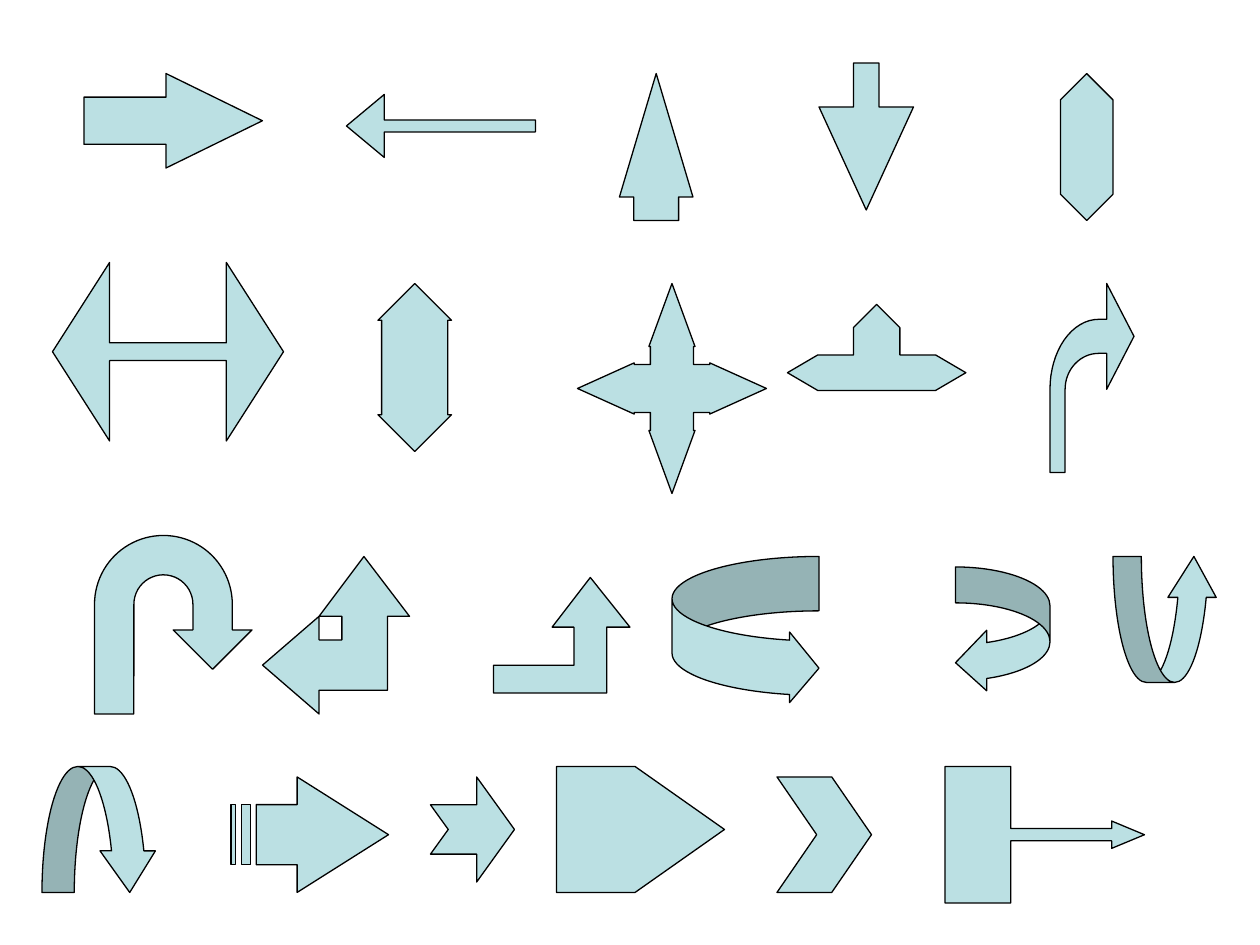
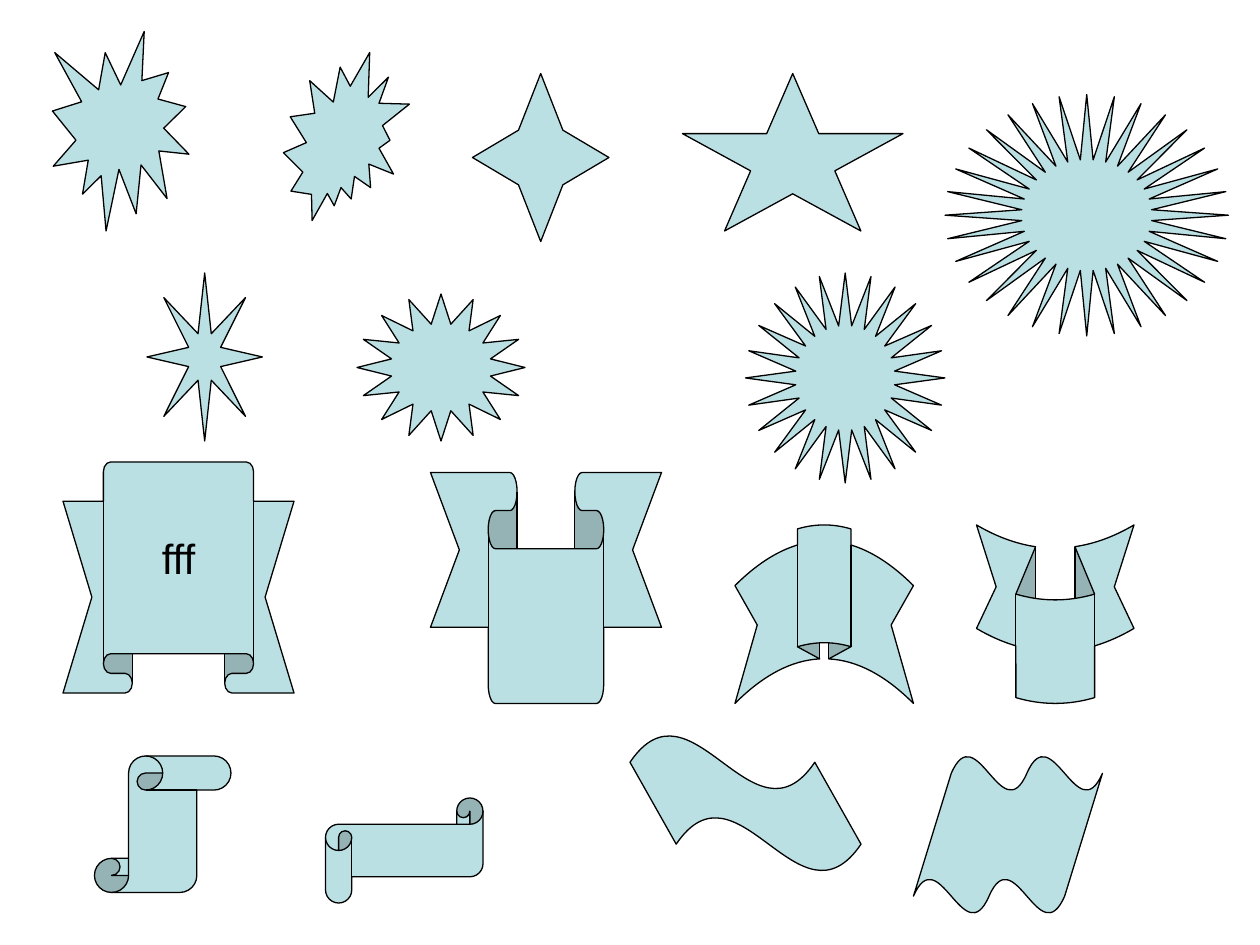
import math

import pptx
import pptx.dml.color
import pptx.enum.shapes
import pptx.enum.text
import pptx.util

KIND = pptx.enum.shapes.MSO_SHAPE
CELL = pptx.util.Cm(2.54) / 12
FILL = "BBE0E3"
INK = "000000"


def color(value):
    return pptx.dml.color.RGBColor.from_string(value)


def cells(count):
    return round(count * CELL)


def style(shape):
    shape.shadow.inherit = False
    shape.fill.solid()
    shape.fill.fore_color.rgb = color(FILL)
    shape.line.color.rgb = color(INK)
    shape.line.width = pptx.util.Pt(0.75)


def mirror_across(points):
    return points + [(100 - x, y) for x, y in reversed(points)]


def mirror_down(points):
    return points + [(x, 100 - y) for x, y in reversed(points)]


def bend(radius_x, radius_y, steps=16):
    angles = [math.pi / 2 * step / steps for step in range(steps + 1)]
    return [(58 - radius_x * math.cos(angle), 56 - radius_y * math.sin(angle))
            for angle in angles]


def rectangle(left, top, right, bottom):
    return [(left, top), (right, top), (right, bottom), (left, bottom)]


FOUR_WAY_ARROW = [mirror_down(mirror_across(
    [(0, 50), (30, 37.8), (30, 38.6), (38.6, 38.6), (38.6, 30), (37.8, 30), (50, 0)]))]
THREE_WAY_ARROW = [mirror_across(
    [(50, 0), (63, 17), (63, 37), (83, 37), (100, 50), (83, 63)])]
BENT_ARROW = [
    [(0, 100), *bend(58, 37), (67.5, 19), (67.5, 0), (100, 28), (67.5, 56),
     (67.5, 37), *reversed(bend(40, 19)), (18, 100)]]
LEFT_UP_ARROW = [
    [(0, 69), (38.5, 38), (38.5, 53), (54, 53), (54, 38), (38.5, 38), (69, 0),
     (100, 38), (85, 38), (85, 85), (38.5, 85), (38.5, 100)]]
BENT_UP_ARROW = [
    [(0, 76), (59, 76), (59, 43), (43, 43), (71, 0), (100, 43), (83, 43),
     (83, 100), (0, 100)]]
STRIPED_ARROW = [
    [(16, 24), (42, 24), (42, 0), (100, 50), (42, 100), (42, 76), (16, 76)],
    rectangle(0, 24, 3, 76),
    rectangle(6.5, 24, 12.5, 76)]


def draw_outline(slide, left, top, width, height, contours):
    placed = [[(round(left + width * x / 100), round(top + height * y / 100))
               for x, y in contour] for contour in contours]
    builder = slide.shapes.build_freeform(*placed[0][0])
    builder.add_line_segments(placed[0][1:], close=True)
    for contour in placed[1:]:
        builder.move_to(*contour[0])
        builder.add_line_segments(contour[1:], close=True)
    return builder.convert_to_shape()


def draw_preset(slide, left, top, width, height, kind, adjustments):
    shape = slide.shapes.add_shape(kind, left, top, width, height)
    for index, value in enumerate(adjustments):
        shape.adjustments[index] = value
    return shape


def draw_row(slide, row_left, row_top, items):
    shapes = []
    for left, top, width, height, form, *adjustments in items:
        box = [cells(length) for length in
               (row_left + left, row_top + top, width, height)]
        if isinstance(form, list):
            shape = draw_outline(slide, *box, form)
        else:
            shape = draw_preset(slide, *box, form, adjustments)
        style(shape)
        shapes.append(shape)
    return shapes


def write_label(shape, text):
    frame = shape.text_frame
    frame.word_wrap = False
    frame.vertical_anchor = pptx.enum.text.MSO_ANCHOR.MIDDLE
    paragraph = frame.paragraphs[0]
    paragraph.text = text
    paragraph.alignment = pptx.enum.text.PP_ALIGN.CENTER
    paragraph.font.name = "Arial"
    paragraph.font.size = pptx.util.Pt(24)
    paragraph.font.color.rgb = color(INK)


def build_arrows(slide):
    draw_row(slide, 8, 6, [
        (0, 1, 17, 9, KIND.RIGHT_ARROW, 0.5, 1.02),
        (25, 3, 18, 6, KIND.LEFT_ARROW, 0.19, 0.6),
        (51, 1, 7, 14, KIND.UP_ARROW, 0.61, 1.68),
        (70, 0, 9, 14, KIND.DOWN_ARROW, 0.27, 1.09),
        (93, 1, 5, 14, KIND.UP_DOWN_ARROW, 0.4, 1.1),
    ])
    draw_row(slide, 5, 25, [
        (0, 0, 22, 17, KIND.LEFT_RIGHT_ARROW, 0.1, 0.32),
        (31, 2, 7, 16, KIND.UP_DOWN_ARROW, 0.39, 0.9),
        (50, 2, 18, 20, FOUR_WAY_ARROW),
        (70, 4, 17, 13, THREE_WAY_ARROW),
        (95, 2, 8, 18, BENT_ARROW),
    ])
    draw_row(slide, 9, 51, [
        (0, 0, 15, 17, KIND.U_TURN_ARROW),
        (16, 2, 14, 15, LEFT_UP_ARROW),
        (38, 4, 13, 11, BENT_UP_ARROW),
        (55, 2, 14, 14, KIND.CURVED_RIGHT_ARROW, 0.37, 0.48, 0.2),
        (82, 3, 9, 12, KIND.CURVED_LEFT_ARROW, 0.38, 0.64, 0.33),
        (97, 2, 10, 12, KIND.CURVED_UP_ARROW, 0.27, 0.46, 0.39),
    ])
    draw_row(slide, 4, 73, [
        (0, 0, 11, 12, KIND.CURVED_DOWN_ARROW, 0.28, 0.48, 0.36),
        (18, 1, 15, 11, STRIPED_ARROW),
        (37, 1, 8, 10, KIND.NOTCHED_RIGHT_ARROW, 0.47, 0.45),
        (49, 0, 16, 12, KIND.PENTAGON, 0.71),
        (70, 1, 9, 11, KIND.CHEVRON, 0.42),
        (86, 0, 19, 13, KIND.RIGHT_ARROW_CALLOUT, 0.09, 0.1, 0.24, 0.33),
    ])


def build_stars_and_banners(slide):
    draw_row(slide, 5, 3, [
        (0, 0, 13, 19, KIND.EXPLOSION1),
        (22, 2, 12, 16, KIND.EXPLOSION2),
        (40, 4, 13, 16, KIND.STAR_4_POINT, 0.23),
        (60, 4, 21, 15, KIND.STAR_5_POINT),
        (85, 6, 27, 23, KIND.STAR_32_POINT, 0.23),
    ])
    draw_row(slide, 14, 26, [
        (0, 0, 11, 16, KIND.STAR_8_POINT, 0.15),
        (20, 2, 16, 14, KIND.STAR_16_POINT, 0.3),
        (57, 0, 19, 20, KIND.STAR_24_POINT, 0.25),
    ])
    ribbons = draw_row(slide, 6, 44, [
        (0, 0, 22, 22, KIND.UP_RIBBON, 0.17, 0.65),
        (35, 1, 22, 22, KIND.DOWN_RIBBON, 0.33, 0.5),
        (64, 6, 17, 17, KIND.CURVED_UP_RIBBON, 0.34, 0.3, 0.25),
        (87, 6, 15, 17, KIND.CURVED_DOWN_RIBBON, 0.42, 0.5, 0.13),
    ])
    write_label(ribbons[0], "fff")
    draw_row(slide, 9, 70, [
        (0, 2, 13, 13, KIND.VERTICAL_SCROLL, 0.25),
        (22, 6, 15, 10, KIND.HORIZONTAL_SCROLL, 0.25),
        (51, 0, 22, 13, KIND.WAVE, 0.2, 0.1),
        (78, 2, 18, 15, KIND.DOUBLE_WAVE, 0.11, -0.1),
    ])


def main():
    presentation = pptx.Presentation()
    presentation.slide_width = pptx.util.Cm(25.4)
    presentation.slide_height = pptx.util.Cm(19.05)
    blank = presentation.slide_layouts[6]
    for build in (build_arrows, build_stars_and_banners):
        build(presentation.slides.add_slide(blank))
    presentation.save("out.pptx")


if __name__ == "__main__":
    main()
